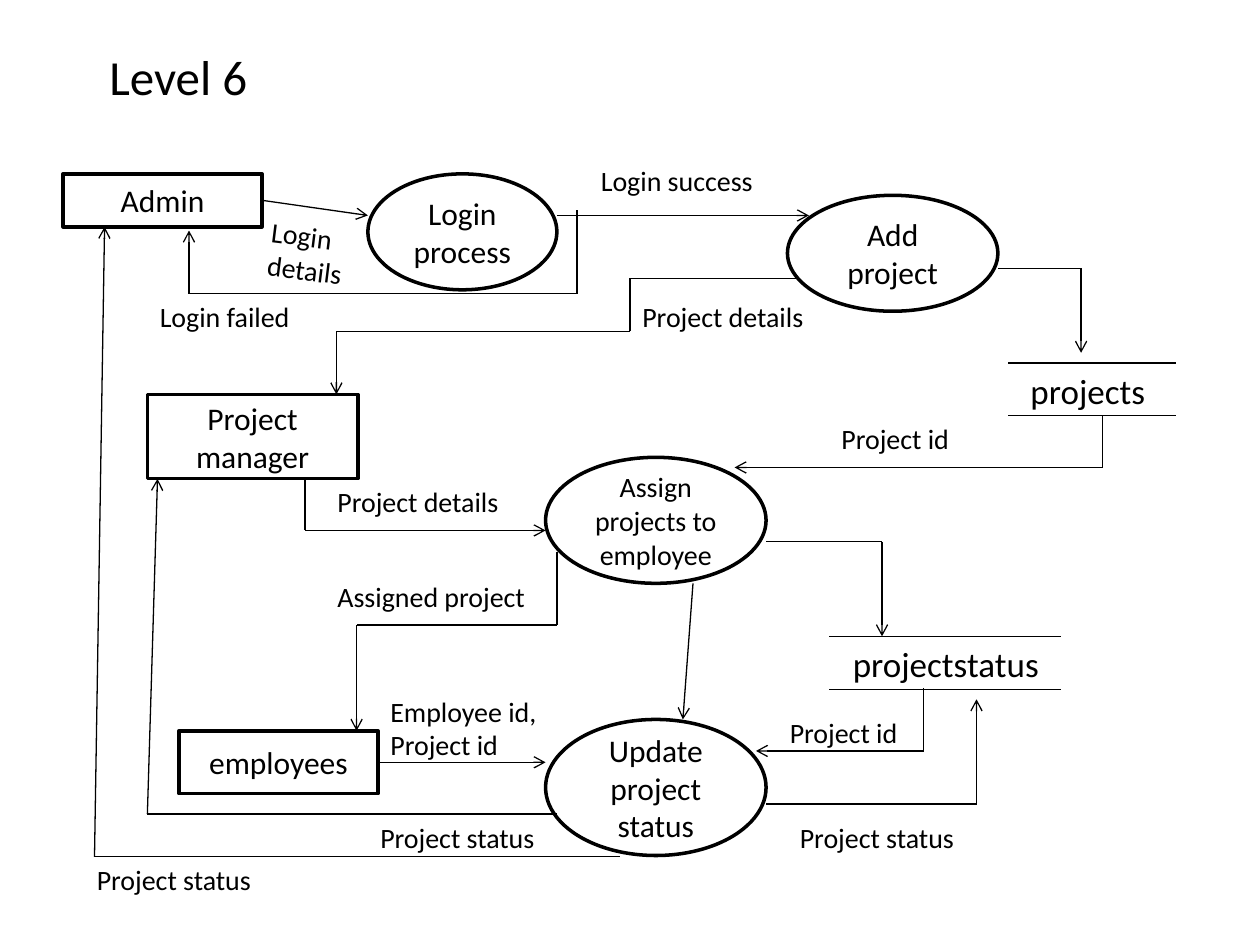
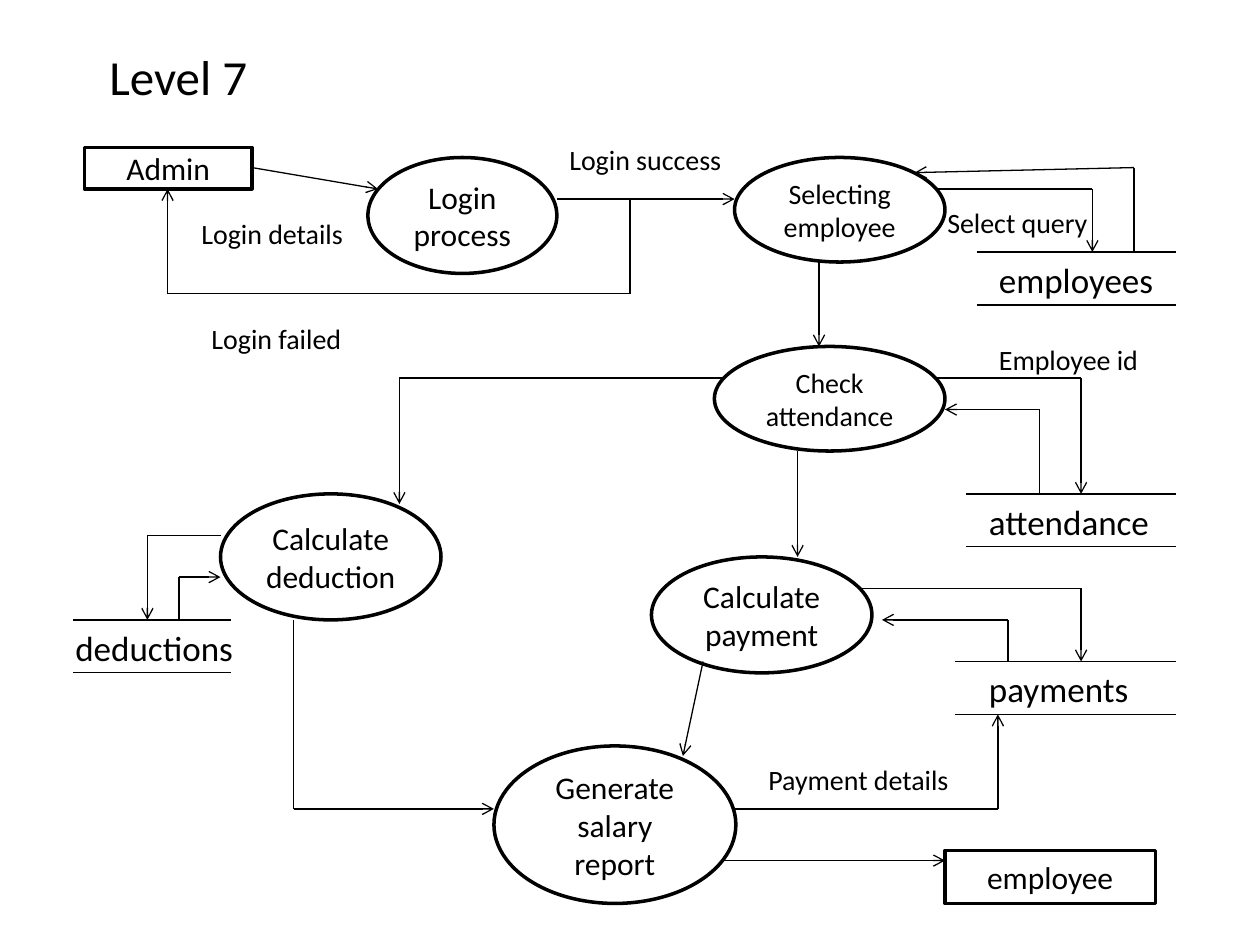
from itertools import pairwise
from lxml.etree import SubElement
from pptx import Presentation
from pptx.dml.color import RGBColor
from pptx.enum.shapes import MSO_CONNECTOR, MSO_SHAPE
from pptx.enum.text import MSO_ANCHOR, PP_ALIGN
from pptx.oxml.ns import qn
from pptx.util import Inches, Pt

BLACK = RGBColor(0, 0, 0)
WHITE = RGBColor(255, 255, 255)
FONT = "Calibri"
TITLE_SIZE, STORE_SIZE, BOX_SIZE, LABEL_SIZE = 28, 20, 18, 16
LABEL_HEIGHT, STORE_HEIGHT = 0.37, 0.42
ENTITY, PROCESS = MSO_SHAPE.RECTANGLE, MSO_SHAPE.OVAL

# nodes: kind, left, top, width, height, text, size
# stores: left, right, top, name, name left, name width
# flows: corner points, the arrowhead sits at the last one
# plain_lines: branches without an arrowhead
# labels: left, top, width, text, rotation
level_6 = {
    "title": "Level 6",
    "nodes": [
        (ENTITY, 0.5, 1.38, 1.58, 0.42, "Admin", BOX_SIZE),
        (PROCESS, 2.92, 1.38, 1.5, 0.92, "Login process", BOX_SIZE),
        (PROCESS, 6.25, 1.55, 1.67, 0.92, "Add project", BOX_SIZE),
        (PROCESS, 4.33, 3.63, 1.75, 1, "Assign projects to employee", LABEL_SIZE),
        (PROCESS, 4.33, 5.71, 1.75, 1.08, "Update project status", BOX_SIZE),
        (ENTITY, 1.17, 3.13, 1.67, 0.67, "Project manager", BOX_SIZE),
        (ENTITY, 1.42, 5.8, 1.58, 0.5, "employees", BOX_SIZE),
    ],
    "stores": [
        (8, 9.33, 2.88, "projects", 8.08, 1.12),
        (6.58, 8.42, 5.05, "projectstatus", 6.67, 1.69),
    ],
    "flows": [
        [(2.08, 1.59), (2.92, 1.71)],
        [(4.42, 1.71), (6.42, 1.71)],
        [(4.58, 1.67), (4.58, 2.33), (1.5, 2.33), (1.5, 1.83)],
        [(7.92, 2.13), (8.58, 2.13), (8.58, 2.8)],
        [(6.33, 2.21), (5, 2.21), (5, 2.63), (2.67, 2.63), (2.67, 3.13)],
        [(8.75, 3.3), (8.75, 3.71), (5.83, 3.71)],
        [(2.42, 3.8), (2.42, 4.21), (4.33, 4.21)],
        [(4.42, 4.38), (4.42, 4.96), (2.83, 4.96), (2.83, 5.8)],
        [(3, 6.05), (4.33, 6.05)],
        [(5.5, 4.63), (5.42, 5.71)],
        [(6.08, 4.3), (7, 4.3), (7, 5.05)],
        [(7.33, 5.46), (7.33, 5.96), (6, 5.96)],
        [(6.08, 6.38), (7.75, 6.38), (7.75, 5.55)],
        [(4.42, 6.46), (1.17, 6.46), (1.25, 3.8)],
        [(4.92, 6.8), (0.75, 6.8), (0.83, 1.8)],
    ],
    "labels": [
        (2.04, 1.69, 0.8, "Login\ndetails", 7.1),
        (4.67, 1.25, 1.42, "Login success", 0),
        (1.17, 2.33, 1.24, "Login failed", 0),
        (5, 2.33, 1.5, "Project details", 0),
        (6.58, 3.3, 1.07, "Project id", 0),
        (2.58, 3.8, 1.5, "Project details", 0),
        (2.58, 4.55, 1.71, "Assigned project", 0),
        (3, 5.46, 1.38, "Employee id,\nProject id", 0),
        (6.17, 5.63, 1.07, "Project id", 0),
        (2.92, 6.46, 1.44, "Project status", 0),
        (6.25, 6.46, 1.44, "Project status", 0),
        (0.67, 6.8, 1.44, "Project status", 0),
    ],
}

level_7 = {
    "title": "Level 7",
    "nodes": [
        (ENTITY, 0.67, 1.17, 1.33, 0.33, "Admin", BOX_SIZE),
        (PROCESS, 2.92, 1.25, 1.5, 0.92, "Login process", BOX_SIZE),
        (PROCESS, 5.83, 1.25, 1.67, 0.83, "Selecting employee", LABEL_SIZE),
        (PROCESS, 5.67, 2.75, 1.83, 0.83, "Check attendance", LABEL_SIZE),
        (PROCESS, 5.17, 4.42, 1.75, 0.92, "Calculate payment", BOX_SIZE),
        (PROCESS, 1.75, 3.92, 1.75, 1, "Calculate deduction", BOX_SIZE),
        (PROCESS, 3.92, 5.92, 1.92, 1.25, "Generate salary report", BOX_SIZE),
        (ENTITY, 7.5, 6.75, 1.67, 0.42, "employee", BOX_SIZE),
    ],
    "stores": [
        (7.75, 9.33, 2, "employees", 7.83, 1.44),
        (7.67, 9.33, 3.92, "attendance", 7.75, 1.49),
        (7.58, 9.33, 5.25, "payments", 7.75, 1.32),
        (0.58, 1.83, 4.92, "deductions", 0.5, 1.47),
    ],
    "flows": [
        [(2, 1.33), (3, 1.5)],
        [(4.42, 1.58), (5.83, 1.58)],
        [(5, 1.58), (5, 2.33), (1.33, 2.33), (1.33, 1.5)],
        [(7.42, 1.5), (8.67, 1.5), (8.67, 2)],
        [(9, 2), (9, 1.33), (7.26, 1.37)],
        [(6.5, 2.08), (6.5, 2.75)],
        [(7.42, 3), (8.58, 3), (8.58, 3.92)],
        [(8.25, 3.92), (8.25, 3.25), (7.5, 3.25)],
        [(5.75, 3), (3.17, 3), (3.17, 4)],
        [(6.33, 3.58), (6.33, 4.42)],
        [(6.83, 4.67), (8.58, 4.67), (8.58, 5.25)],
        [(8, 5.25), (8, 4.92), (7, 4.92)],
        [(1.75, 4.25), (1.17, 4.25), (1.17, 4.92)],
        [(1.42, 4.92), (1.42, 4.58), (1.75, 4.58)],
        [(2.33, 4.92), (2.33, 6.42), (3.92, 6.42)],
        [(5.58, 5.25), (5.42, 6)],
        [(5.83, 6.42), (7.92, 6.42), (7.92, 5.67)],
        [(5.75, 6.83), (7.5, 6.83)],
    ],
    "labels": [
        (1.5, 1.67, 1.42, "Login details", 0),
        (4.42, 1.08, 1.42, "Login success", 0),
        (1.58, 2.5, 1.42, "Login failed", 0),
        (7.42, 1.58, 1.33, "Select query", 0),
        (7.83, 2.67, 1.32, "Employee id", 0),
        (6, 6, 1.65, "Payment details", 0),
    ],
}


def write(shape, text, size, centred=False):
    frame = shape.text_frame
    frame.text = text
    frame.word_wrap = centred
    frame.vertical_anchor = MSO_ANCHOR.MIDDLE if centred else MSO_ANCHOR.TOP
    for paragraph in frame.paragraphs:
        paragraph.alignment = PP_ALIGN.CENTER if centred else PP_ALIGN.LEFT
        paragraph.font.name = FONT
        paragraph.font.size = Pt(size)
        paragraph.font.color.rgb = BLACK


def draw_line(slide, start, end, arrow=False):
    line = slide.shapes.add_connector(
        MSO_CONNECTOR.STRAIGHT, *(Inches(v) for v in (*start, *end)))
    line.line.color.rgb = BLACK
    line.line.width = Pt(0.75)
    if arrow:
        SubElement(line.line._get_or_add_ln(), qn("a:tailEnd"), type="arrow")
    SubElement(line._element.spPr, qn("a:effectLst"))


prs = Presentation()
prs.slide_width, prs.slide_height = Inches(10), Inches(7.5)

for level in (level_6, level_7):
    slide = prs.slides.add_slide(prs.slide_layouts[6])

    # Title
    title = slide.shapes.add_textbox(Inches(0.33), Inches(0.38), Inches(2.17), Inches(0.45))
    write(title, level["title"], TITLE_SIZE, centred=True)

    # Entities and processes
    for kind, left, top, width, height, text, size in level["nodes"]:
        node = slide.shapes.add_shape(
            kind, Inches(left), Inches(top), Inches(width), Inches(height))
        node.shadow.inherit = False
        node.fill.solid()
        node.fill.fore_color.rgb = WHITE
        node.line.color.rgb = BLACK
        node.line.width = Pt(2)
        write(node, text, size, centred=True)

    # Data stores: a name between two rules
    for left, right, top, name, name_left, name_width in level["stores"]:
        for y in (top, top + STORE_HEIGHT):
            draw_line(slide, (left, y), (right, y))
        store = slide.shapes.add_textbox(
            Inches(name_left), Inches(top), Inches(name_width), Inches(0.44))
        write(store, name, STORE_SIZE)

    # Flows, with the arrowhead on the last leg
    for points in level["flows"]:
        for start, end in pairwise(points):
            draw_line(slide, start, end, arrow=end == points[-1])

    # Flow labels
    for left, top, width, text, rotation in level["labels"]:
        height = 0.64 if "\n" in text else LABEL_HEIGHT
        label = slide.shapes.add_textbox(
            Inches(left), Inches(top), Inches(width), Inches(height))
        label.rotation = rotation
        write(label, text, LABEL_SIZE)

prs.save("out.pptx")
